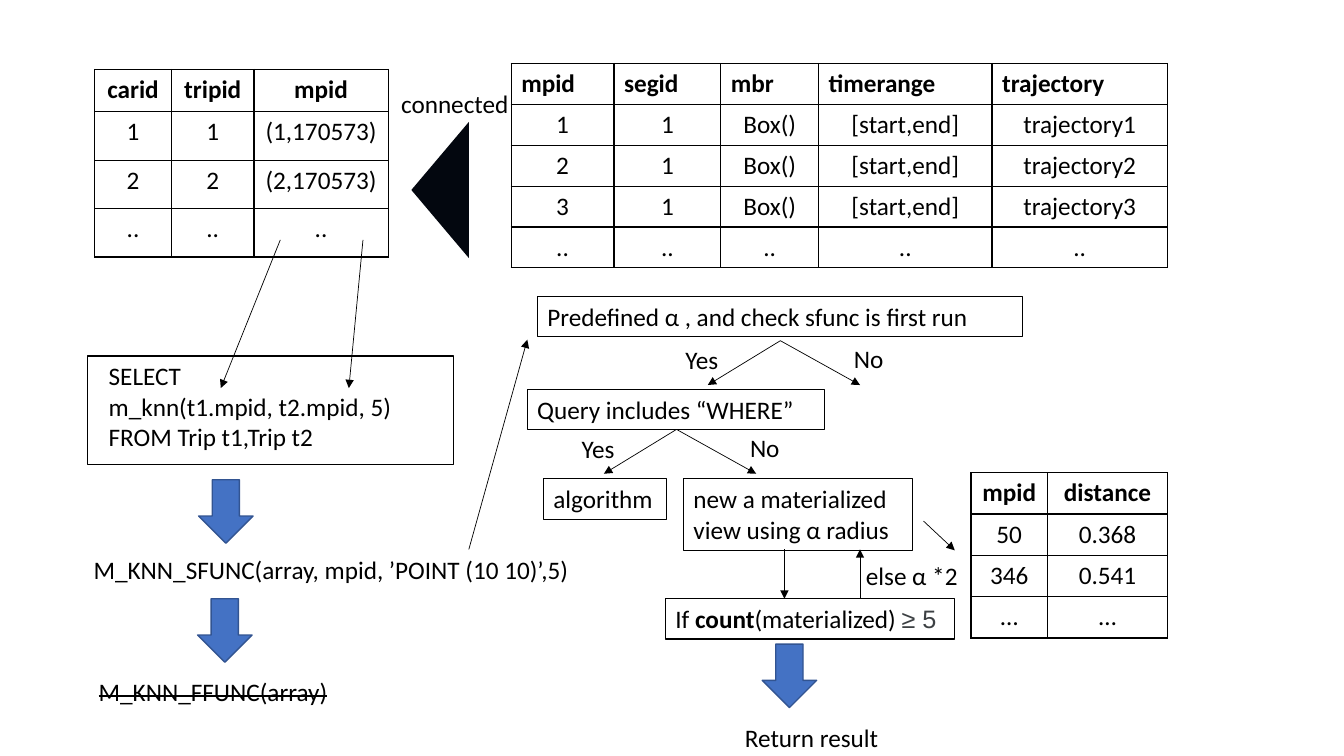
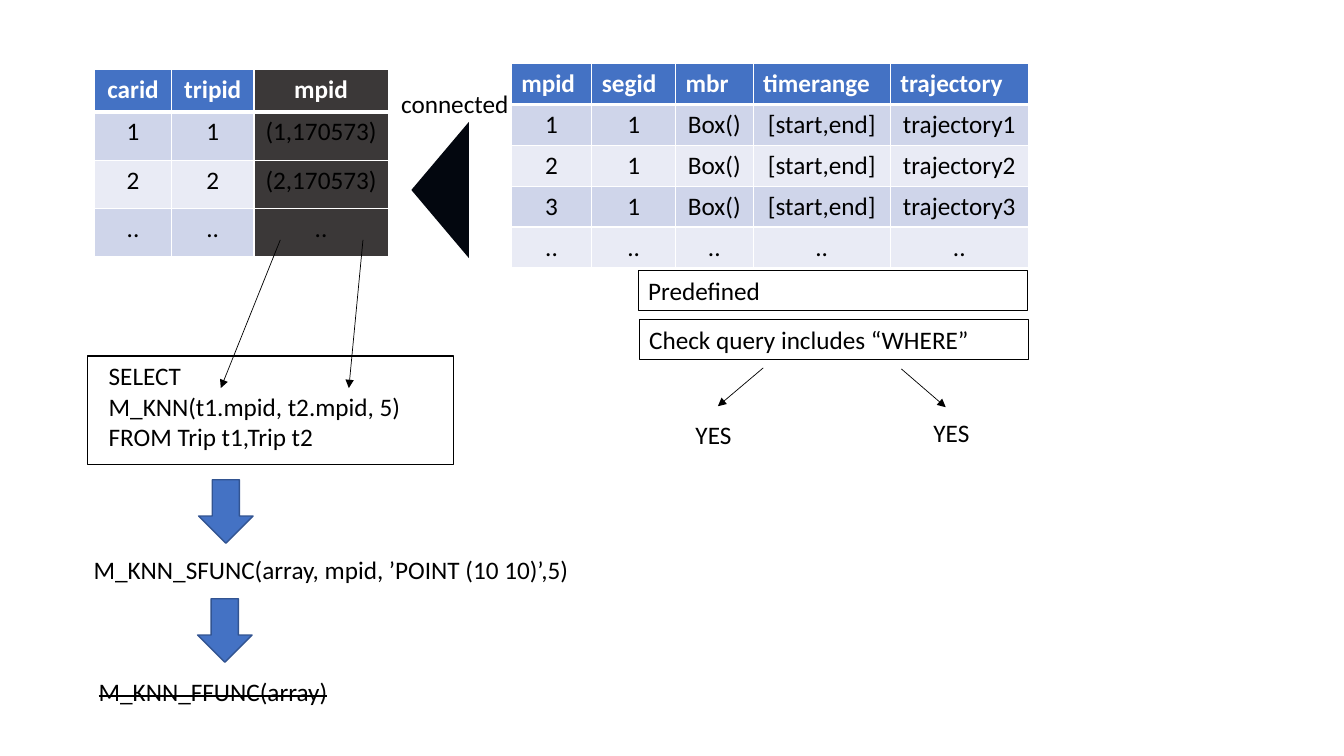
from lxml.etree import SubElement
from pptx import Presentation
from pptx.dml.color import RGBColor
from pptx.enum.shapes import MSO_CONNECTOR, MSO_SHAPE
from pptx.enum.text import MSO_ANCHOR, PP_ALIGN
from pptx.oxml.ns import qn
from pptx.util import Pt

PX = 9144
BLACK = RGBColor(0x00, 0x00, 0x00)
WHITE = RGBColor(0xFF, 0xFF, 0xFF)
INK = RGBColor(0x03, 0x07, 0x0F)
BLUE = RGBColor(0x44, 0x72, 0xC4)
NAVY = RGBColor(0x32, 0x54, 0x91)
DARK = RGBColor(0x3B, 0x38, 0x38)
GRAY = RGBColor(0x3C, 0x40, 0x43)
BANDS = (RGBColor(0xCF, 0xD5, 0xEA), RGBColor(0xE9, 0xEB, 0xF5))
CENTER, LEFT = PP_ALIGN.CENTER, PP_ALIGN.LEFT

TRIPS = [
    ("carid", "tripid", "mpid"),
    ("1", "1", "(1,170573)"),
    ("2", "2", "(2,170573)"),
    ("..", "..", ".."),
]
SEGMENTS = [
    ("mpid", "segid", "mbr", "timerange", "trajectory"),
    *((str(n), "1", "Box()", "[start,end]", f"trajectory{n}") for n in (1, 2, 3)),
    ("..",) * 5,
]
DISTANCES = [("mpid", "distance"), ("50", "0.368"), ("346", "0.541"), ("…", "…")]


def px(*lengths):
    return [n * PX for n in lengths]


def write(p, text, font="Calibri", size=18, color=BLACK, bold=False, strike=False):
    r = p.add_run()
    r.text = text
    r.font.name, r.font.size, r.font.bold = font, Pt(size), bold
    r.font.color.rgb = color
    if strike:
        r.font._element.set("strike", "sngStrike")


def border(cell, color, bottom):
    tc_pr = cell._tc.get_or_add_tcPr()
    for side, width in (("L", 1), ("R", 1), ("T", 1), ("B", bottom)):
        ln = SubElement(tc_pr, qn(f"a:ln{side}"), w=str(Pt(width)))
        fill = SubElement(ln, qn("a:solidFill"))
        SubElement(fill, qn("a:srgbClr"), val=str(color))


class Deck:
    def __init__(self):
        self.prs = Presentation()
        self.prs.slide_width, self.prs.slide_height = px(1333, 750)

    def new_slide(self):
        self.shapes = self.prs.slides.add_slide(self.prs.slide_layouts[6]).shapes

    def fill_text(self, tf, lines, **fmt):
        tf.word_wrap = True
        tf.vertical_anchor = MSO_ANCHOR.TOP
        for i, line in enumerate(lines):
            p = tf.add_paragraph() if i else tf.paragraphs[0]
            p.alignment = LEFT
            for text, extra in [(line, {})] if isinstance(line, str) else line:
                write(p, text, **{**fmt, **extra})

    def text(self, x, y, w, h, *lines, **fmt):
        s = self.shapes.add_textbox(*px(x, y, w, h))
        self.fill_text(s.text_frame, lines, **fmt)

    def shape(self, kind, x, y, w, h, fill=None, line=None, width=1):
        s = self.shapes.add_shape(kind, *px(x, y, w, h))
        s.shadow.inherit = False
        if fill is None:
            s.fill.background()
        else:
            s.fill.solid()
            s.fill.fore_color.rgb = fill
        if line is None:
            s.line.fill.background()
        else:
            s.line.color.rgb = line
            s.line.width = Pt(width)
        return s

    def box(self, x, y, w, h, *lines, width=0.75):
        s = self.shape(MSO_SHAPE.RECTANGLE, x, y, w, h, line=BLACK, width=width)
        self.fill_text(s.text_frame, lines)

    def block_arrow(self, x, y):
        self.shape(MSO_SHAPE.DOWN_ARROW, x, y, 54, 63, fill=BLUE, line=NAVY)

    def arrow(self, x1, y1, x2, y2):
        c = self.shapes.add_connector(MSO_CONNECTOR.STRAIGHT, *px(x1, y1, x2, y2))
        c.line.color.rgb = BLACK
        c.line.width = Pt(0.5)
        SubElement(c.line._get_or_add_ln(), qn("a:tailEnd"), type="triangle")
        SubElement(c._element.spPr, qn("a:effectLst"))

    def table(self, x, y, cols, heights, data, banded=False, dark_col=None, head_align=CENTER):
        frame = self.shapes.add_table(len(data), len(cols), *px(x, y, sum(cols), sum(heights)))
        table = frame.table
        table.horz_banding = False
        for col, w in zip(table.columns, cols):
            col.width = w * PX
        for i, (row, h) in enumerate(zip(table.rows, heights)):
            row.height = h * PX
            head = i == 0
            for j, cell in enumerate(row.cells):
                border(cell, WHITE if banded else BLACK, 3 if banded and head else 1)
                if banded:
                    cell.fill.solid()
                    band = BLUE if head else BANDS[(i - 1) % 2]
                    cell.fill.fore_color.rgb = DARK if j == dark_col else band
                else:
                    cell.fill.background()
                p = cell.text_frame.paragraphs[0]
                p.alignment = head_align if head else CENTER
                write(p, data[i][j], bold=head, color=WHITE if banded and head else BLACK)

    def query_side(self, function, segment_cols, banded):
        self.table(94, 69, (76, 82, 133), (42, 48, 48, 48), TRIPS, banded, dark_col=2)
        s = self.shape(MSO_SHAPE.FLOWCHART_MERGE, 369, 160, 135, 57, fill=INK)
        s.rotation = 90
        self.table(507, 63, segment_cols, [40] * 5, SEGMENTS, banded, head_align=LEFT)
        self.text(98, 353, 404, 101, "SELECT", f"{function}(t1.mpid, t2.mpid, 5)",
                  "FROM Trip t1,Trip t2")
        self.box(87, 353, 363, 108, width=1)
        self.text(388, 83, 196, 40, "connected")
        self.arrow(278, 238, 219, 385)
        self.arrow(360, 238, 346, 385)
        self.block_arrow(197, 476)
        self.text(83, 545, 513, 40, "M_KNN_SFUNC(array, mpid, ’POINT (10 10)’,5)")
        self.block_arrow(196, 594)
        self.text(88, 666, 272, 40, "M_KNN_FFUNC(array)", strike=True)

    def branch(self, x, y):
        self.arrow(x, y, x - 72, y + 44)
        self.arrow(x, y, x + 79, y + 44)
        self.text(x - 104, y - 1, 72, 40, "Yes")
        self.text(x + 63, y - 2, 72, 40, "No")


def algorithm_slide(deck):
    deck.new_slide()
    deck.query_side("m_knn", (102, 106, 97, 172, 174), banded=False)
    deck.box(533, 294, 481, 40, "Predefined α , and check sfunc is first run")
    deck.box(523, 386, 295, 40, "Query includes “WHERE”")
    deck.branch(774, 338)
    deck.branch(671, 426)
    deck.box(539, 475, 122, 40, "algorithm")
    deck.box(678, 475, 227, 71, "new a materialized view using α radius")
    deck.table(963, 469, (76, 119), [41] * 4, DISTANCES)
    deck.box(660, 594, 287, 40, [
        ("If ", {}),
        ("count", {"bold": True}),
        ("(materialized) ", {}),
        ("≥ 5", {"font": "Arial", "color": GRAY}),
    ])
    deck.text(849, 551, 127, 40, "else α *2")
    deck.arrow(465, 545, 523, 337)
    deck.arrow(778, 545, 778, 594)
    deck.arrow(853, 593, 853, 545)
    deck.arrow(916, 517, 947, 546)
    deck.block_arrow(756, 639)
    deck.text(729, 712, 196, 40, "Return result")


def check_slide(deck):
    deck.new_slide()
    deck.query_side("M_KNN", (80, 83, 77, 136, 137), banded=True)
    deck.box(633, 268, 386, 40, "Predefined")
    deck.box(634, 317, 386, 40, "Check query includes “WHERE”")
    deck.arrow(757, 365, 712, 403)
    deck.arrow(894, 366, 938, 404)
    deck.text(680, 411, 66, 40, "YES")
    deck.text(916, 409, 66, 40, "YES")


def main():
    deck = Deck()
    algorithm_slide(deck)
    check_slide(deck)
    deck.prs.save("out.pptx")


if __name__ == "__main__":
    main()
